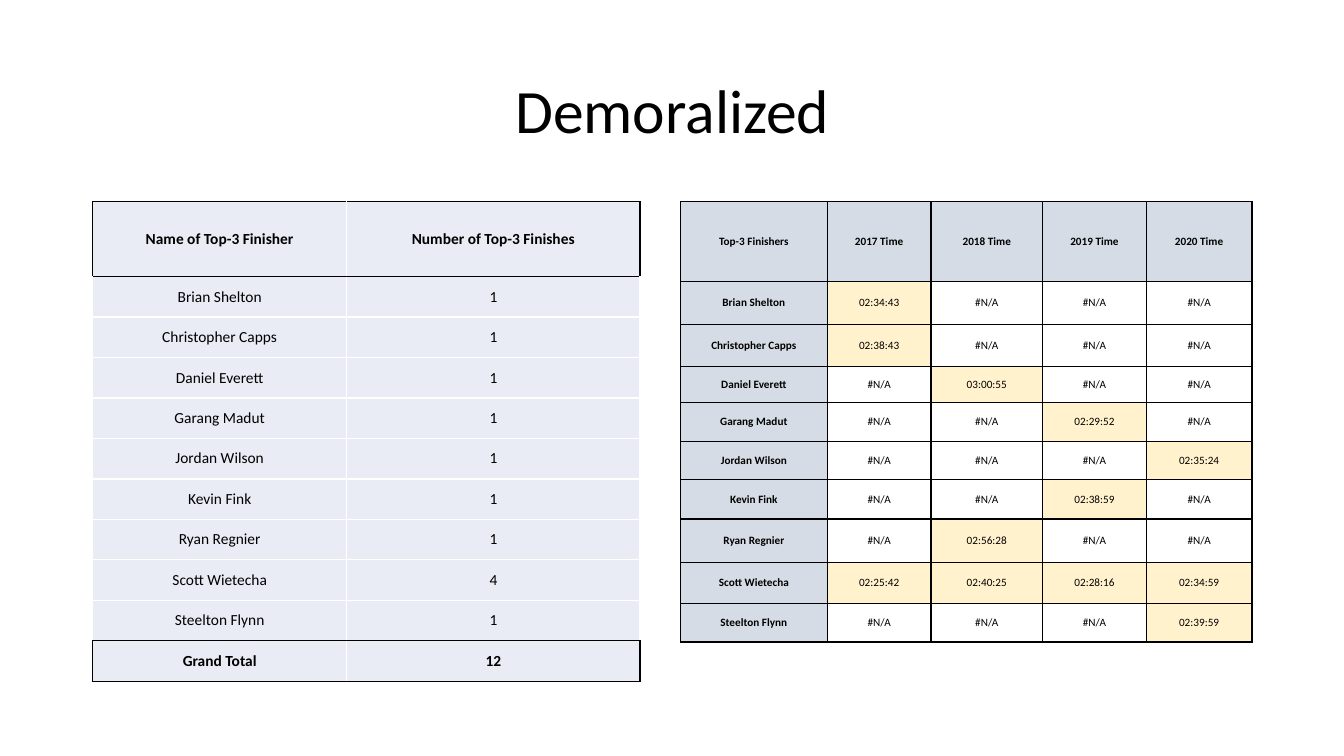
import dataclasses

import pptx
import pptx.dml.color
import pptx.enum.text
import pptx.oxml
import pptx.oxml.ns
import pptx.util


@dataclasses.dataclass(frozen=True)
class Theme:
    font: str = "Calibri"
    ink: str = "000000"
    rule: str = "FFFFFF"
    tally: str = "E9EBF5"
    heading: str = "D6DCE5"
    highlight: str = "FFF2CC"
    title_size: int = 44
    tally_size: int = 11
    times_size: int = 8


THEME = Theme()
SLIDE_WIDTH = pptx.util.Inches(13.33)
SLIDE_HEIGHT = pptx.util.Inches(7.5)
MISSING = "#N/A"

FINISHERS = {
    "Brian Shelton": {2017: "02:34:43"},
    "Christopher Capps": {2017: "02:38:43"},
    "Daniel Everett": {2018: "03:00:55"},
    "Garang Madut": {2019: "02:29:52"},
    "Jordan Wilson": {2020: "02:35:24"},
    "Kevin Fink": {2019: "02:38:59"},
    "Ryan Regnier": {2018: "02:56:28"},
    "Scott Wietecha": {2017: "02:25:42", 2018: "02:40:25", 2019: "02:28:16", 2020: "02:34:59"},
    "Steelton Flynn": {2020: "02:39:59"},
}
YEARS = range(2017, 2021)


def across(percent):
    return round(SLIDE_WIDTH * percent / 100)


def down(percent):
    return round(SLIDE_HEIGHT * percent / 100)


def format_paragraph(paragraph, size, bold=False):
    paragraph.alignment = pptx.enum.text.PP_ALIGN.CENTER
    for run in paragraph.runs:
        run.font.name = THEME.font
        run.font.size = pptx.util.Pt(size)
        run.font.bold = bold
        run.font.color.rgb = pptx.dml.color.RGBColor.from_string(THEME.ink)


def add_title(slide, text):
    title = slide.shapes.title
    title.left, title.top = across(6.9), down(5.33)
    title.width, title.height = across(86.27), down(19.33)
    title.text_frame.text = text
    title.text_frame.vertical_anchor = pptx.enum.text.MSO_ANCHOR.MIDDLE
    paragraph = title.text_frame.paragraphs[0]
    paragraph.line_spacing = 0.9
    format_paragraph(paragraph, THEME.title_size)


def set_borders(cell, colors):
    properties = cell._tc.get_or_add_tcPr()
    for side, color in zip("LRTB", colors):
        properties.append(pptx.oxml.parse_xml(
            f'<a:ln{side} {pptx.oxml.ns.nsdecls("a")} w="{pptx.util.Pt(1)}">'
            f'<a:solidFill><a:srgbClr val="{color}"/></a:solidFill></a:ln{side}>'
        ))


def fill_cell(cell, text, size, bold, fill, borders):
    cell.text_frame.text = text
    format_paragraph(cell.text_frame.paragraphs[0], size, bold)
    cell.vertical_anchor = pptx.enum.text.MSO_ANCHOR.MIDDLE
    cell.margin_left = cell.margin_right = cell.margin_top = cell.margin_bottom = 0
    set_borders(cell, borders)
    if fill:
        cell.fill.solid()
        cell.fill.fore_color.rgb = pptx.dml.color.RGBColor.from_string(fill)
    else:
        cell.fill.background()


def add_grid(slide, rows, left, width, height, column_shares, row_shares, size, style):
    frame = slide.shapes.add_table(
        len(rows), len(rows[0]), across(left), down(26.67), across(width), down(height))
    table = frame.table
    for column, share in zip(table.columns, column_shares):
        column.width = round(across(width) * share / sum(column_shares))
    for row, share in zip(table.rows, row_shares):
        row.height = round(down(height) * share / sum(row_shares))
    for row_index, row in enumerate(rows):
        for column_index, text in enumerate(row):
            bold, fill, borders = style(row_index, column_index, text)
            fill_cell(table.cell(row_index, column_index), text, size, bold, fill, borders)


def tally_style(row, column, text):
    last = len(FINISHERS) + 1
    framed = row in (0, last)
    black = (
        framed and column == 0,
        framed and column == 1,
        row in (0, 1, last),
        row in (0, last - 1, last),
    )
    return framed, THEME.tally, [THEME.ink if edge else THEME.rule for edge in black]


def times_style(row, column, text):
    heading = row == 0 or column == 0
    timed = None if text == MISSING else THEME.highlight
    return heading, THEME.heading if heading else timed, [THEME.ink] * 4


def main():
    presentation = pptx.Presentation()
    presentation.slide_width = SLIDE_WIDTH
    presentation.slide_height = SLIDE_HEIGHT
    slide = presentation.slides.add_slide(presentation.slide_layouts[5])
    add_title(slide, "Demoralized")

    total = sum(len(times) for times in FINISHERS.values())
    tally = [
        ("Name of Top-3 Finisher", "Number of Top-3 Finishes"),
        *((name, str(len(times))) for name, times in FINISHERS.items()),
        ("Grand Total", str(total)),
    ]
    add_grid(slide, tally, 6.9, 40.73, 63.47, (2.52, 2.91),
             [0.74] + [0.4] * (len(tally) - 1), THEME.tally_size, tally_style)

    times_table = [
        ["Top-3 Finishers", *(f"{year} Time" for year in YEARS)],
        *([name, *(times.get(year, MISSING) for year in YEARS)]
          for name, times in FINISHERS.items()),
    ]
    add_grid(slide, times_table, 50.63, 42.53, 58.27, (1.46, 1.03, 1.11, 1.03, 1.05),
             (0.79, 0.43, 0.42, 0.35, 0.39, 0.38, 0.39, 0.43, 0.41, 0.38),
             THEME.times_size, times_style)

    presentation.save("out.pptx")


if __name__ == "__main__":
    main()
